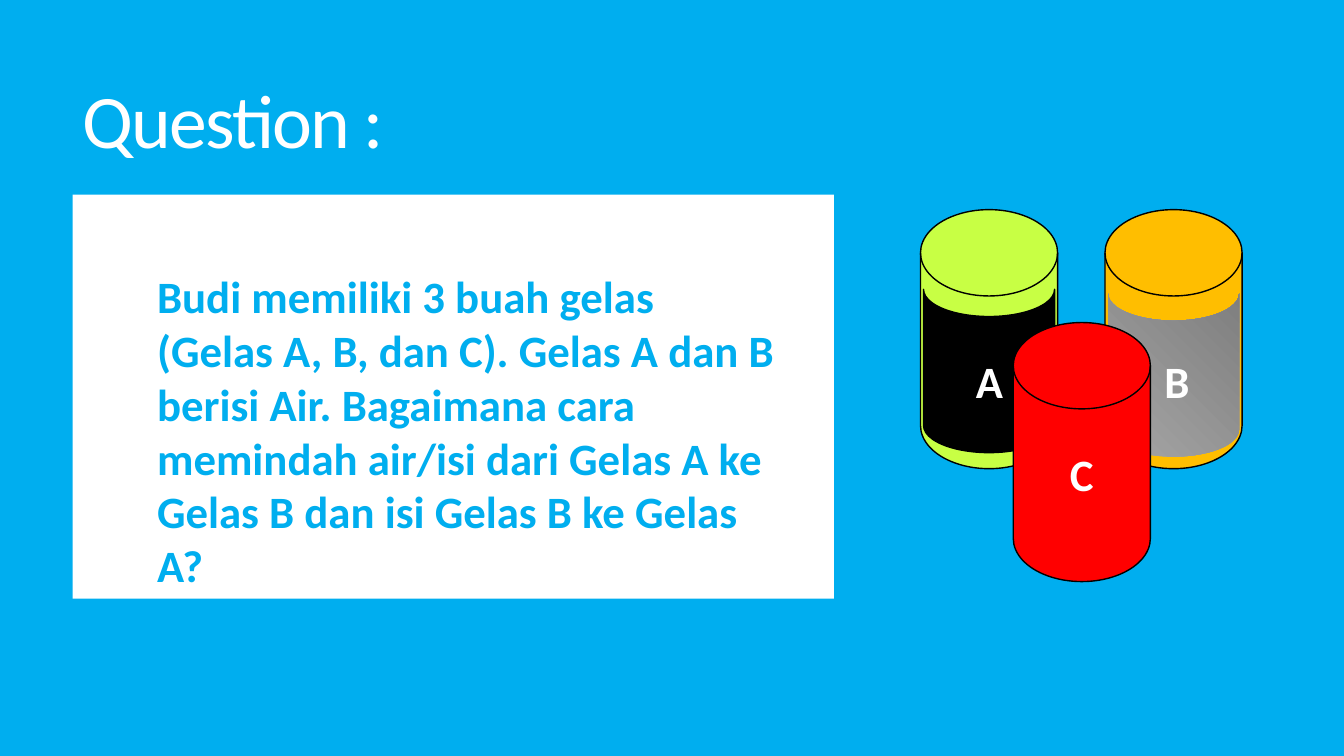
"""Build the slide that asks how to swap the contents of two glasses."""
from pptx import Presentation
from pptx.dml.color import RGBColor
from pptx.enum import shapes, text
from pptx.util import Inches, Pt

BLUE, WHITE, BLACK = "00AEEF", "FFFFFF", "000000"
TITLE = "Question :"
STORY = ("Budi memiliki 3 buah gelas (Gelas A, B, dan C). Gelas A dan B "
         "berisi Air. Bagaimana cara memindah air/isi dari Gelas A ke "
         "Gelas B dan isi Gelas B ke Gelas A?")
GLASS = (1.36, 2.57)
WATER = (1.62, 1.3)
GLASSES = [(9.13, 2.08, "C8FF44"), (10.96, 2.08, "FFBE00")]
WATERS = [("A", 9, 3.03, [BLACK], BLACK, 9.58, 0.45),
          ("B", 10.83, 3.07, ["A6A6A6", "7F7F7F"], None, 11.45, 0.44)]
SPARE = ("C", 10.05, 3.2, "FF0000")
KIND = shapes.MSO_SHAPE


def color(code):
    return RGBColor.from_string(code)


def write(shape, words, size=32, ink=WHITE, bold=True, align=None,
          anchor=text.MSO_ANCHOR.TOP, wrap=True, lines=None, track=None):
    frame = shape.text_frame
    frame.word_wrap = wrap
    frame.vertical_anchor = anchor
    para = frame.paragraphs[0]
    para.alignment = align
    para.line_spacing = lines
    run = para.add_run()
    run.text = words
    font = run.font
    font.name, font.size, font.bold = "Calibri", Pt(size), bold
    font.color.rgb = color(ink)
    if track:
        font._element.set("spc", str(track))


def draw(parent, kind, box, fills, edge=None, turn=0):
    shape = parent.add_shape(kind, *map(Inches, box))
    shape.shadow.inherit = False
    shape.rotation = turn
    if len(fills) == 1:
        shape.fill.solid()
        shape.fill.fore_color.rgb = color(fills[0])
    else:
        shape.fill.gradient()
        shape.fill.gradient_angle = 315
        for stop, code in zip(shape.fill.gradient_stops, fills):
            stop.color.rgb = color(code)
    if edge:
        shape.line.color.rgb = color(edge)
        shape.line.width = Pt(1)
    else:
        shape.line.fill.background()
    return shape


def label(parent, box, words, **form):
    write(parent.add_textbox(*map(Inches, box)), words, **form)


deck = Presentation()
deck.slide_width, deck.slide_height = Inches(13.33), Inches(7.5)
slide = deck.slides.add_slide(deck.slide_layouts[5])
slide.background.fill.solid()
slide.background.fill.fore_color.rgb = color(BLUE)

title = slide.shapes.title
title.left, title.top = Inches(0.72), Inches(0.55)
title.width, title.height = Inches(11.78), Inches(1.38)
write(title, TITLE, size=54, bold=False, align=text.PP_ALIGN.LEFT,
      anchor=text.MSO_ANCHOR.MIDDLE, lines=0.85, track=-120)

draw(slide.shapes, KIND.RECTANGLE, (0.72, 1.93, 7.55, 4.01), [WHITE])
label(slide.shapes, (1.46, 2.62, 6.37, 2.79), STORY, ink=BLUE)

group = slide.shapes.add_group_shape().shapes
for left, top, fill in GLASSES:
    draw(group, KIND.FLOWCHART_MAGNETIC_DISK, (left, top, *GLASS), [fill], BLACK)
for name, left, top, fills, edge, start, wide in WATERS:
    draw(group, KIND.FLOWCHART_STORED_DATA, (left, top, *WATER), fills, edge, 270)
    label(group, (start, 3.46, wide, 0.64), name, wrap=False)
name, left, top, fill = SPARE
spare = draw(group, KIND.FLOWCHART_MAGNETIC_DISK, (left, top, *GLASS), [fill], BLACK)
write(spare, name, align=text.PP_ALIGN.CENTER, anchor=text.MSO_ANCHOR.MIDDLE)

deck.save("out.pptx")
